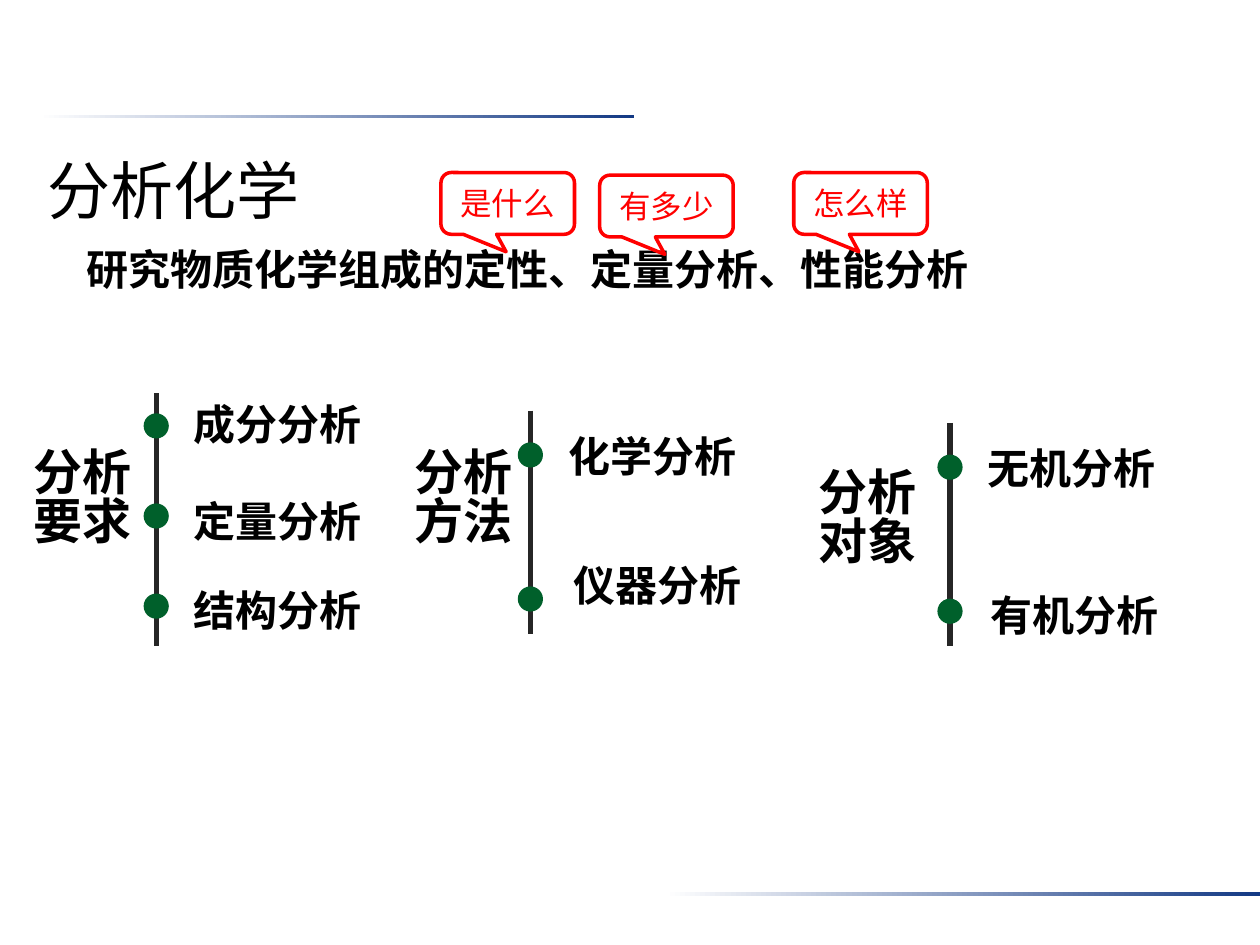
from pptx import Presentation
from pptx.dml.color import RGBColor
from pptx.enum.shapes import MSO_CONNECTOR, MSO_SHAPE
from pptx.enum.text import MSO_ANCHOR as Anchor, MSO_AUTO_SIZE as AutoSize, PP_ALIGN as Align
from pptx.oxml.ns import qn
from pptx.util import Pt
from lxml.etree import SubElement

BLACK = RGBColor(0x00, 0x00, 0x00)
WHITE = RGBColor(0xFF, 0xFF, 0xFF)
NAVY = RGBColor(0x13, 0x39, 0x84)
RED = RGBColor(0xFF, 0x00, 0x00)
GREEN = RGBColor(0x00, 0x60, 0x2B)
CHARCOAL = RGBColor(0x26, 0x26, 0x26)

CJK_FONT = "Noto Sans CJK SC"
DOT = 14.4

# Callouts above the definition: text, left, top
CALLOUTS = [("是什么", 252, 98.6), ("有多少", 342.7, 100.1), ("怎么样", 453.6, 98.6)]

# Each branch: heading (text, left, top, width), axis (x, top, length),
# dots (first centre, gap), labels (text, left, top)
BRANCHES = [
    (("分析要求", 12.2, 248.4, 73.4), (89.3, 224.8, 144.6), (243.4, 51.5),
     [("成分分析", 103.7, 223.9), ("定量分析", 103.7, 279.4), ("结构分析", 103.7, 330.5)]),
    (("分析方法", 229.7, 248.4, 81.4), (303.1, 234.7, 127.5), (260, 82.3),
     [("化学分析", 317.5, 242.6), ("仪器分析", 320.4, 316.1)]),
    (("分析对象", 460.8, 259.9, 77), (542.9, 241.7, 127.5), (267, 82.3),
     [("无机分析", 557.3, 249.1), ("有机分析", 558.7, 333.4)]),
]


def write(shape, text, size, color=BLACK, bold=False, font=CJK_FONT,
          align=Align.LEFT, anchor=Anchor.MIDDLE, wrap=True):
    frame = shape.text_frame
    frame.text = text
    frame.word_wrap = wrap
    frame.auto_size = AutoSize.NONE
    frame.vertical_anchor = anchor
    paragraph = frame.paragraphs[0]
    paragraph.alignment = align
    run = paragraph.runs[0]
    run.font.name = font
    run.font.size = Pt(size)
    run.font.bold = bold
    run.font.color.rgb = color
    SubElement(run.font._element, qn("a:ea")).set("typeface", CJK_FONT)
    return paragraph


def place(shape, left, top, width, height):
    shape.left, shape.top = Pt(left), Pt(top)
    shape.width, shape.height = Pt(width), Pt(height)


def add_rule(slide, left, top):
    rule = slide.shapes.add_shape(MSO_SHAPE.RECTANGLE, Pt(left), Pt(top), Pt(340), Pt(2.2))
    rule.shadow.inherit = False
    rule.line.fill.background()
    rule.fill.gradient()
    rule.fill.gradient_angle = 0
    for stop, color in zip(rule.fill.gradient_stops, (WHITE, NAVY)):
        stop.color.rgb = color
    for stop, position in zip(rule.fill.gradient_stops, (0, 1)):
        stop.position = position


def add_callout(slide, text, left, top):
    callout = slide.shapes.add_shape(
        MSO_SHAPE.ROUNDED_RECTANGULAR_CALLOUT, Pt(left), Pt(top), Pt(76.3), Pt(35.3))
    for index, value in enumerate((-0.012, 0.783, 0.167)):
        callout.adjustments[index] = value
    callout.shadow.inherit = False
    callout.fill.background()
    callout.line.color.rgb = RED
    callout.line.width = Pt(2)
    write(callout, text, 18, RED, font="Calibri", align=Align.CENTER)


def add_text(slide, text, left, top, width, height, size, **style):
    box = slide.shapes.add_textbox(Pt(left), Pt(top), Pt(width), Pt(height))
    return write(box, text, size, bold=True, **style)


def add_axis(slide, x, top, length, centres):
    group = slide.shapes.add_group_shape().shapes
    axis = group.add_connector(MSO_CONNECTOR.STRAIGHT, Pt(x), Pt(top), Pt(x), Pt(top + length))
    axis.line.color.rgb = CHARCOAL
    axis.line.width = Pt(3)
    SubElement(axis._element.spPr, qn("a:effectLst"))
    for centre in centres:
        dot = group.add_shape(
            MSO_SHAPE.OVAL, Pt(x - DOT / 2), Pt(centre - DOT / 2), Pt(DOT), Pt(DOT))
        dot.shadow.inherit = False
        dot.fill.solid()
        dot.fill.fore_color.rgb = GREEN
        dot.line.fill.background()


def add_branch(slide, heading, axis, dots, labels):
    first, gap = dots
    add_axis(slide, *axis, [first + i * gap for i in range(len(labels))])
    for text, left, top in labels:
        add_text(slide, text, left, top, 112, 36, 24, wrap=False)
    text, left, top, width = heading
    paragraph = add_text(slide, text, left, top, width, 74.9, 28)
    paragraph.line_spacing = 0.83


def main():
    deck = Presentation()
    deck.slide_width, deck.slide_height = Pt(720), Pt(540)
    slide = deck.slides.add_slide(deck.slide_layouts[1])

    # Decorative rules
    add_rule(slide, 22.3, 65.5)
    add_rule(slide, 380, 509.8)

    # Title and definition
    title, definition = slide.placeholders
    place(title, 20.2, 82.8, 159.8, 51.1)
    write(title, "分析化学", 36, wrap=False)
    place(definition, 42.5, 135.4, 578.2, 36)
    paragraph = write(definition, "研究物质化学组成的定性、定量分析、性能分析", 24, bold=True)
    paragraph.space_before = Pt(0)
    properties = paragraph._p.get_or_add_pPr()
    properties.set("marL", "0")
    properties.set("indent", "0")
    SubElement(properties, qn("a:buNone"))

    # Questions answered by each kind of analysis
    for callout in CALLOUTS:
        add_callout(slide, *callout)

    # Requirements, methods and objects
    for branch in BRANCHES:
        add_branch(slide, *branch)

    deck.save("out.pptx")


if __name__ == "__main__":
    main()
